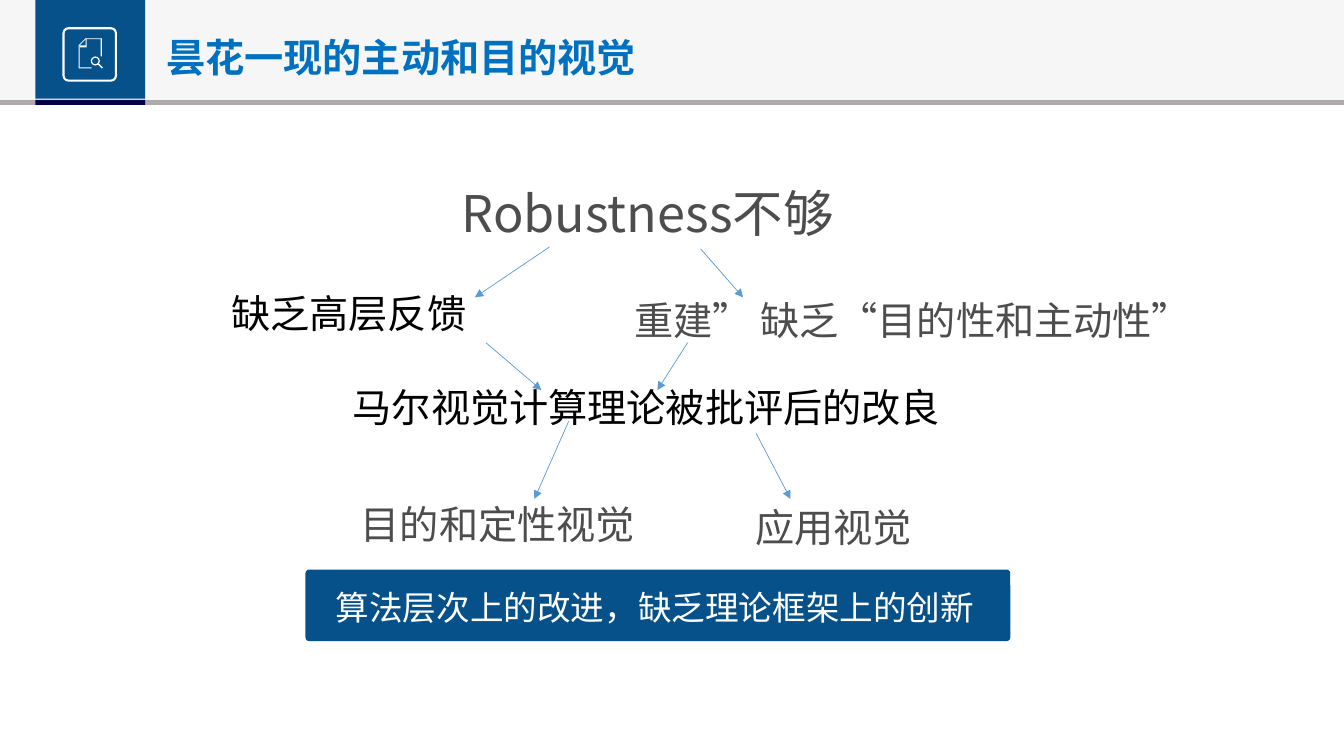
from lxml import etree
from pptx import Presentation
from pptx.dml.color import RGBColor
from pptx.enum.shapes import MSO_CONNECTOR, MSO_SHAPE
from pptx.enum.text import PP_ALIGN
from pptx.oxml.ns import qn
from pptx.util import Inches, Pt

RECT, ROUNDED, DONUT = MSO_SHAPE.RECTANGLE, MSO_SHAPE.ROUNDED_RECTANGLE, MSO_SHAPE.DONUT
STRAIGHT = MSO_CONNECTOR.STRAIGHT
LEFT, CENTER = PP_ALIGN.LEFT, PP_ALIGN.CENTER

FONT = "Noto Sans CJK SC"
COLORS = {
    "title": "0070C0", "navy": "06518A", "midnight": "000048", "silver": "AFABAB",
    "white": "FFFFFF", "black": "000000", "gray": "4D4D4D", "arrow": "5B9BD5",
}


def rgb(name):
    return RGBColor.from_string(COLORS[name])


def paint(shape, fill=None, line=None, width=1.5):
    shape.shadow.inherit = False
    if fill:
        shape.fill.solid()
        shape.fill.fore_color.rgb = rgb(fill)
    else:
        shape.fill.background()
    if line:
        shape.line.color.rgb = rgb(line)
        shape.line.width = Pt(width)
    else:
        shape.line.fill.background()
    return shape


def add_block(page, box, kind=RECT, fill=None, line=None, adjust=None):
    shape = page.shapes.add_shape(kind, *map(Inches, box))
    if adjust is not None:
        shape.adjustments[0] = adjust
    return paint(shape, fill, line)


def add_text(page, box, text, color, size=28, bold=False, wrap=True, align=LEFT):
    frame = page.shapes.add_textbox(*map(Inches, box)).text_frame
    frame.word_wrap = wrap
    para = frame.paragraphs[0]
    para.alignment = align
    span = para.add_run()
    span.text = text
    for key, value in {"name": FONT, "size": Pt(size), "bold": bold}.items():
        setattr(span.font, key, value)
    span.font.color.rgb = rgb(color)
    properties = span.font._element
    properties.set("lang", "zh-CN")
    etree.SubElement(properties, qn("a:ea")).set("typeface", FONT)


def add_arrow(page, start, end):
    arrow = page.shapes.add_connector(STRAIGHT, *map(Inches, start + end))
    arrow.line.color.rgb = rgb("arrow")
    arrow.line.width = Pt(0.5)
    etree.SubElement(arrow.line._get_or_add_ln(), qn("a:tailEnd")).set("type", "triangle")
    etree.SubElement(arrow._element.spPr, qn("a:effectLst"))


def add_icon(page, left, top):
    """Document with a magnifier; outline points are hundredths of an inch."""
    add_block(page, (left, top, 0.52, 0.52), ROUNDED, line="white", adjust=0.095)
    sheet = [(28, 40), (15, 40), (15, 17), (22, 10), (38, 10), (38, 28), (37, 28),
             (37, 11), (22, 11), (16, 17), (16, 39), (28, 39)]
    fold = [(23, 19), (16, 19), (16, 17), (22, 17), (22, 10), (23, 10)]
    handle = [(38, 40), (34, 36), (35, 35), (39, 39)]
    for outline in (sheet, fold, handle):
        builder = page.shapes.build_freeform(*outline[0], scale=Inches(0.01))
        builder.add_line_segments(outline[1:], close=True)
        paint(builder.convert_to_shape(Inches(left), Inches(top)), "white")
    add_block(page, (left + 0.27, top + 0.28, 0.09, 0.09), DONUT, "white", adjust=0.14)


def add_header(page, left, top, width, height):
    rule_top, rule_height = top + height + 0.01, 0.05
    band = add_block(page, (left, top, width, height), fill="silver")
    tint = band._element.spPr.find(qn("a:solidFill"))[0]
    etree.SubElement(tint, qn("a:alpha")).set("val", "10000")
    add_block(page, (left, rule_top, width, rule_height), fill="silver")
    add_text(page, (left + 1.55, top + 0.28, 4.91, 0.57), "昙花一现的主动和目的视觉",
             "title", bold=True, wrap=False)
    # Icon tab
    add_block(page, (left + 0.35, top, 1.09, height), fill="navy")
    add_block(page, (left + 0.35, rule_top, 1.09, rule_height), fill="midnight")
    add_icon(page, left + 0.63, top + 0.28)


def add_diagram(page, left, top):
    # Statements: offset, width, height, text, colour, format
    statements = [
        (2.42, 0, 7.02, 0.71, "Robustness不够", "gray", {"size": 36}),
        (0, 1.06, 2.8, 0.58, "缺乏高层反馈", "black", {"align": CENTER}),
        (4.13, 1.13, 6.71, 0.57, "重建” 缺乏“目的性和主动性”", "gray", {}),
        (1.34, 1.99, 6.29, 0.58, "马尔视觉计算理论被批评后的改良", "black", {}),
        (1.42, 3.15, 6.99, 0.57, "目的和定性视觉", "gray", {}),
        (5.33, 3.18, 2.29, 0.57, "应用视觉", "gray", {}),
    ]
    for x, y, width, height, text, color, style in statements:
        add_text(page, (left + x, top + y, width, height), text, color, **style)
    # Arrows between the levels
    arrows = [
        (3.39, 0.69, 2.65, 1.19), (4.89, 0.71, 5.31, 1.19),
        (2.76, 1.64, 3.31, 2.11), (4.76, 1.64, 4.46, 2.11),
        (3.58, 2.42, 3.24, 3.19), (5.44, 2.54, 5.78, 3.19),
    ]
    for x1, y1, x2, y2 in arrows:
        add_arrow(page, (left + x1, top + y1), (left + x2, top + y2))


def add_conclusion(page, left, top, width, height):
    add_block(page, (left, top, width, height), ROUNDED, "navy", adjust=0.05)
    add_text(page, (left + 0.2, top + 0.12, width - 0.28, 0.25),
             "算法层次上的改进，缺乏理论框架上的创新", "white", size=24, wrap=False)


def main():
    deck = Presentation()
    deck.slide_width, deck.slide_height = Inches(13.33), Inches(7.5)
    page = deck.slides.add_slide(deck.slide_layouts[6])
    add_header(page, 0, 0, 13.33, 0.98)
    add_diagram(page, 2.06, 1.76)
    add_conclusion(page, 3.03, 5.65, 6.99, 0.71)
    deck.save("out.pptx")


if __name__ == "__main__":
    main()
